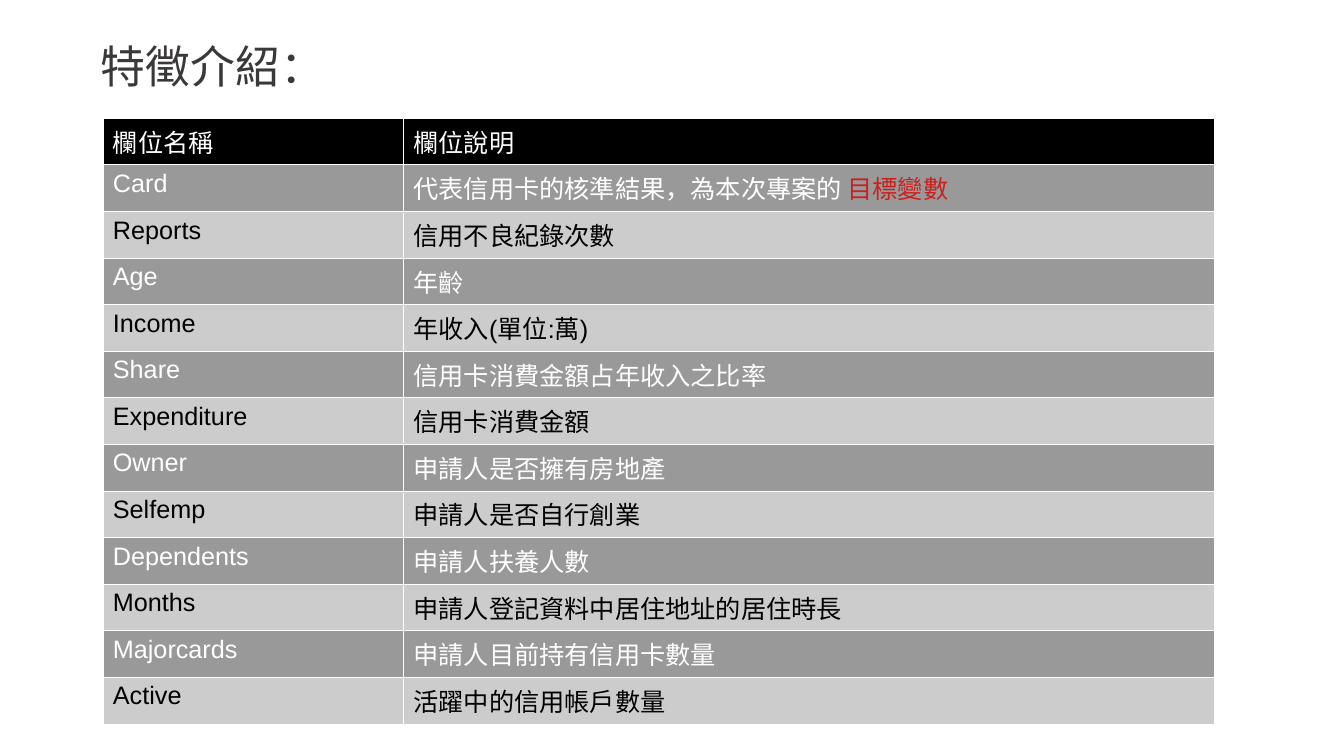
from lxml import etree
from pptx import Presentation
from pptx import util as u
from pptx.dml.color import RGBColor
from pptx.enum import text
from pptx.oxml.ns import qn

COLORS = {
    "title": "3B3838",
    "white": "FFFFFF",
    "black": "000000",
    "dark band": "999999",
    "light band": "CCCCCC",
    "target": "C9211E",
}
LATIN_FONT = "Arial"
CJK_FONT = "Noto Sans CJK SC"
COLUMN_WIDTHS = (2.98, 8.04)
ROW_HEIGHT = 0.46
TARGET = "目標變數"
HEADINGS = ("欄位名稱", "欄位說明")
FEATURES = [
    ("Card", "代表信用卡的核準結果，為本次專案的 " + TARGET),
    ("Reports", "信用不良紀錄次數"),
    ("Age", "年齡"),
    ("Income", "年收入(單位:萬)"),
    ("Share", "信用卡消費金額占年收入之比率"),
    ("Expenditure", "信用卡消費金額"),
    ("Owner", "申請人是否擁有房地產"),
    ("Selfemp", "申請人是否自行創業"),
    ("Dependents", "申請人扶養人數"),
    ("Months", "申請人登記資料中居住地址的居住時長"),
    ("Majorcards", "申請人目前持有信用卡數量"),
    ("Active", "活躍中的信用帳戶數量"),
]


def color(name):
    """Return the named colour."""
    return RGBColor.from_string(COLORS[name])


def add_text(paragraph, content, size=18, font=LATIN_FONT, fill="black"):
    """Add a formatted run to a paragraph."""
    run = paragraph.add_run()
    run.text = content
    run.font.size = u.Pt(size)
    run.font.name = font
    run.font.color.rgb = color(fill)
    east_asian = etree.SubElement(run.font._element, qn("a:ea"))
    east_asian.set("typeface", CJK_FONT)


def add_borders(cell, fill="white", width=0.06):
    """Draw a thin line on all four sides of a cell."""
    properties = cell._tc.get_or_add_tcPr()
    for side in ("a:lnL", "a:lnR", "a:lnT", "a:lnB"):
        line = etree.SubElement(properties, qn(side), w=str(u.Pt(width)))
        solid = etree.SubElement(line, qn("a:solidFill"))
        etree.SubElement(solid, qn("a:srgbClr"), val=COLORS[fill])


def fill_cell(cell, content, background, foreground):
    """Write a table cell, with the target variable highlighted."""
    add_borders(cell)
    cell.fill.solid()
    cell.fill.fore_color.rgb = color(background)
    paragraph = cell.text_frame.paragraphs[0]
    plain, target, _ = content.partition(TARGET)
    add_text(paragraph, plain, fill=foreground)
    if target:
        add_text(paragraph, target, fill="target")


def row_colors(index):
    """Return background and text colours of a table row."""
    if index == 0:
        return "black", "white"
    return ("dark band", "white") if index % 2 else ("light band", "black")


def add_title(slide, content):
    """Place and format the title placeholder."""
    title = slide.shapes.title
    title.left, title.top = u.Inches(0.9), u.Inches(-0.04)
    title.width, title.height = u.Inches(11.5), u.Inches(1.45)
    title.text_frame.vertical_anchor = text.MSO_ANCHOR.MIDDLE
    paragraph = title.text_frame.paragraphs[0]
    paragraph.alignment = text.PP_ALIGN.LEFT
    paragraph.line_spacing = 0.9
    add_text(paragraph, content, size=32, font=CJK_FONT, fill="title")


def add_feature_table(slide, rows):
    """Add the banded table of fields and descriptions."""
    table = slide.shapes.add_table(
        len(rows), len(COLUMN_WIDTHS), u.Inches(1.02), u.Inches(1.17),
        u.Inches(sum(COLUMN_WIDTHS)), u.Inches(ROW_HEIGHT * len(rows))).table
    for column, width in zip(table.columns, COLUMN_WIDTHS):
        column.width = u.Inches(width)
    for index, (row, contents) in enumerate(zip(table.rows, rows)):
        row.height = u.Inches(ROW_HEIGHT)
        for cell, content in zip(row.cells, contents):
            fill_cell(cell, content, *row_colors(index))


def main():
    """Build the slide and save it."""
    presentation = Presentation()
    presentation.slide_width = u.Inches(13.33)
    presentation.slide_height = u.Inches(7.5)
    slide = presentation.slides.add_slide(presentation.slide_layouts[5])
    add_title(slide, "特徵介紹：")
    add_feature_table(slide, [HEADINGS] + FEATURES)
    presentation.save("out.pptx")


main()
